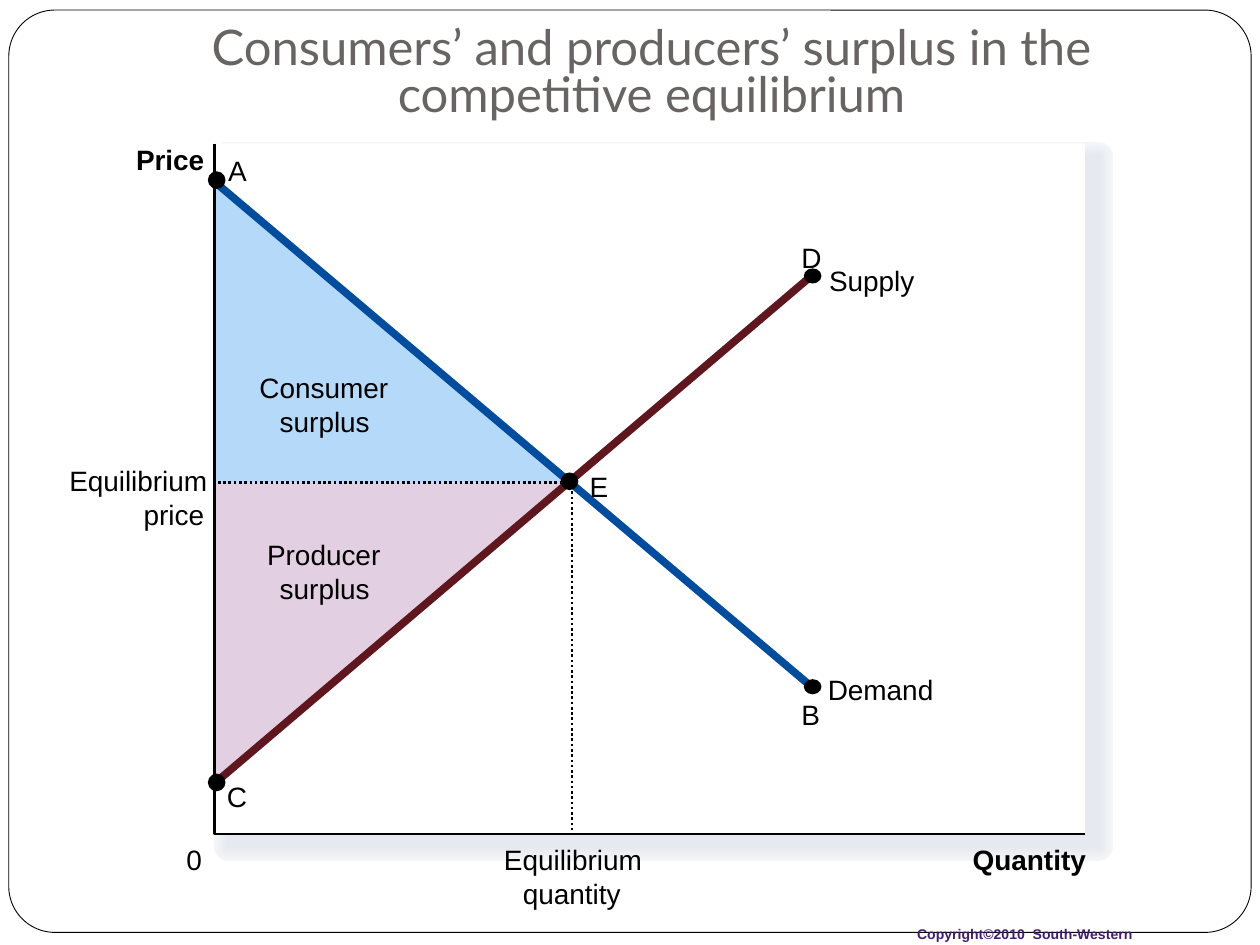
import pptx
import pptx.util
import pptx.dml.color
import pptx.enum.dml
import pptx.enum.shapes
import pptx.enum.text
import pptx.oxml.ns
from lxml import etree

Inches = pptx.util.Inches
Pt = pptx.util.Pt
SHAPES = pptx.enum.shapes.MSO_SHAPE
ALIGN = pptx.enum.text.PP_ALIGN
ANCHOR = pptx.enum.text.MSO_ANCHOR

COLORS = {
    "ink": "000000", "paper": "FFFFFF", "title": "696464", "copyright": "411D72",
    "consumer": "B4D9F9", "producer": "E2CFE1", "supply": "5F161D", "demand": "004C9F",
}
SHADOW_LAYERS = [
    ("F3F6F9", 15.88), ("F2F4F8", 14.5), ("F1F4F7", 13), ("F0F2F5", 11.5),
    ("EEF1F4", 10.13), ("EDEFF3", 8.63), ("EBEEF2", 7.25), ("EAECF1", 5.75),
    ("E9EBF0", 4.38), ("E7EAEF", 2.88), ("E6E9EF", 1.5),
]
LABEL_FORMAT = {"name": "Arial", "size": Pt(16), "bold": False}
AXIS_FORMAT = LABEL_FORMAT | {"bold": True}
TITLE_FORMAT = {"name": "Lato", "size": Pt(28), "bold": False}
COPYRIGHT_FORMAT = {"name": "Arial", "size": Pt(8), "bold": True}
LINE_STEP = 0.27

POINTS = {"A": (0, 0.3), "C": (0, 5.08), "B": (4.74, 4.31), "D": (4.74, 1.05), "E": (2.84, 2.69)}
DOTS = {
    "A": (-0.05, 0.22, 0.14), "C": (-0.05, 5, 0.14), "B": (4.68, 4.25, 0.12),
    "D": (4.68, 0.99, 0.12), "E": (2.75, 2.61, 0.14),
}
POINT_LABELS = {"A": (0.11, 0.08), "C": (0.1, 5.05), "B": (4.66, 4.4), "D": (4.66, 0.77), "E": (2.98, 2.59)}


def rgb(hex_color):
    return pptx.dml.color.RGBColor.from_string(hex_color)


def paint(shape, fill=None, line=None, weight=1.5):
    shape.shadow.inherit = False
    if fill:
        shape.fill.solid()
        shape.fill.fore_color.rgb = rgb(fill)
    else:
        shape.fill.background()
    if line:
        shape.line.color.rgb = rgb(line)
        shape.line.width = Pt(weight)
    else:
        shape.line.fill.background()


def add_preset(slide, kind, box, **colors):
    shape = slide.shapes.add_shape(kind, *map(Inches, box))
    paint(shape, **colors)
    return shape


def add_path(slide, origin, points, close, **colors):
    vertices = [(Inches(origin[0] + x), Inches(origin[1] + y)) for x, y in points]
    builder = slide.shapes.build_freeform(*vertices[0])
    builder.add_line_segments(vertices[1:], close=close)
    path_shape = builder.convert_to_shape()
    paint(path_shape, **colors)
    return path_shape


def add_text(slide, box, text, font_format, color="ink", margins=(0, 0, 0, 0), wrap=False):
    text_box = slide.shapes.add_textbox(*map(Inches, box))
    frame = text_box.text_frame
    frame.word_wrap = wrap
    for side, margin in zip(("left", "top", "right", "bottom"), margins):
        setattr(frame, f"margin_{side}", Inches(margin))
    paragraph = frame.paragraphs[0]
    run = paragraph.add_run()
    run.text = text
    for attribute, value in font_format.items():
        setattr(run.font, attribute, value)
    run.font.color.rgb = rgb(COLORS[color])
    return frame


def add_curve(slide, origin, start, end, color):
    ends = [Inches(o + p) for point in (start, end) for o, p in zip(origin, point)]
    curve = slide.shapes.add_connector(pptx.enum.shapes.MSO_CONNECTOR.STRAIGHT, *ends)
    curve.line.color.rgb = rgb(COLORS[color])
    curve.line.width = Pt(4.38)
    etree.SubElement(curve._element.spPr, pptx.oxml.ns.qn("a:effectLst"))


def add_label(slide, origin, lines, top, font_format=LABEL_FORMAT):
    for index, (text, left, width) in enumerate(lines):
        box = (origin[0] + left, origin[1] + top + index * LINE_STEP, width, 0.3)
        add_text(slide, box, text, font_format)


def add_frame(slide, box):
    frame = add_preset(slide, SHAPES.ROUNDED_RECTANGLE, box,
                       fill=COLORS["paper"], line=COLORS["ink"], weight=0.5)
    frame.adjustments[0] = 0.05


def add_title(slide, box):
    frame = add_text(slide, box, "Consumers’ and producers’ surplus in the competitive equilibrium",
                     TITLE_FORMAT, "title", (0.1, 0.05, 0.1, 0.1), True)
    frame.vertical_anchor = ANCHOR.BOTTOM
    paragraph = frame.paragraphs[0]
    paragraph.alignment = ALIGN.CENTER
    paragraph.line_spacing = 0.8


def add_panel(slide, box):
    left, top, width, height = box
    for color, weight in SHADOW_LAYERS:
        add_preset(slide, SHAPES.RECTANGLE, (left + 0.11, top + 0.1, width, height),
                   fill=color, line=color, weight=weight)
    add_preset(slide, SHAPES.RECTANGLE, box, fill=COLORS["paper"])


def add_surplus_areas(slide, origin):
    equilibrium = POINTS["E"]
    areas = [
        ("producer", "C", ("Producer", 0.42, 0.97), 3.13),
        ("consumer", "A", ("Consumer", 0.36, 1.1), 1.8),
    ]
    for color, corner, name_line, top in areas:
        triangle = [equilibrium, (0, equilibrium[1]), POINTS[corner]]
        add_path(slide, origin, triangle, True, fill=COLORS[color])
        add_label(slide, origin, [name_line, ("surplus", 0.52, 0.81)], top)


def add_axes(slide, box):
    origin, (width, height) = box[:2], box[2:]
    add_path(slide, origin, [(0, 0), (0, height), (width, height)], False, line=COLORS["ink"])
    add_label(slide, origin, [("Price", -0.62, 0.63)], -0.01, AXIS_FORMAT)
    add_label(slide, origin, [("0", -0.22, 0.22)], height + 0.07)
    add_label(slide, origin, [("Quantity", 6.02, 0.99)], height + 0.07, AXIS_FORMAT)


def add_equilibrium(slide, box):
    origin, height = box[:2], box[3]
    x, y = POINTS["E"]
    guide = add_path(slide, origin, [(0.03, y), (x, y), (x, height)], False, line=COLORS["ink"])
    guide.line.dash_style = pptx.enum.dml.MSO_LINE.ROUND_DOT
    add_label(slide, origin, [("Equilibrium", -1.15, 1.17), ("price", -0.56, 0.57)], y - 0.15)
    add_label(slide, origin, [("Equilibrium", 2.3, 1.17), ("quantity", 2.45, 0.84)], height + 0.07)


def add_curves(slide, origin):
    curves = [("supply", "C", "D", ("Supply", 4.88, 0.76), 0.95),
              ("demand", "A", "B", ("Demand", 4.87, 0.91), 4.2)]
    for color, start, end, name_line, top in curves:
        add_curve(slide, origin, POINTS[start], POINTS[end], color)
        add_label(slide, origin, [name_line], top)


def add_points(slide, origin):
    for name, (left, top, height) in DOTS.items():
        add_preset(slide, SHAPES.OVAL, (origin[0] + left, origin[1] + top, 0.14, height),
                   fill=COLORS["ink"])
        label_left, label_top = POINT_LABELS[name]
        add_label(slide, origin, [(name, label_left, 0.25)], label_top)


def add_surplus_diagram(slide, box):
    origin = box[:2]
    add_panel(slide, box)
    add_surplus_areas(slide, origin)
    add_axes(slide, box)
    add_equilibrium(slide, box)
    add_curves(slide, origin)
    add_points(slide, origin)


def main():
    presentation = pptx.Presentation()
    presentation.slide_width = Inches(10)
    presentation.slide_height = Inches(7.5)
    slide = presentation.slides.add_slide(presentation.slide_layouts[6])
    add_frame(slide, (0.07, 0.08, 9.86, 7.32))
    add_title(slide, (0.67, 0.32, 9, 0.75))
    add_surplus_diagram(slide, (1.7, 1.14, 6.91, 5.48))
    add_text(slide, (7.18, 7.3, 1.91, 0.23), "Copyright©2010  South-Western",
             COPYRIGHT_FORMAT, "copyright", (0.1, 0.05, 0.1, 0.05))
    presentation.save("out.pptx")


if __name__ == "__main__":
    main()
